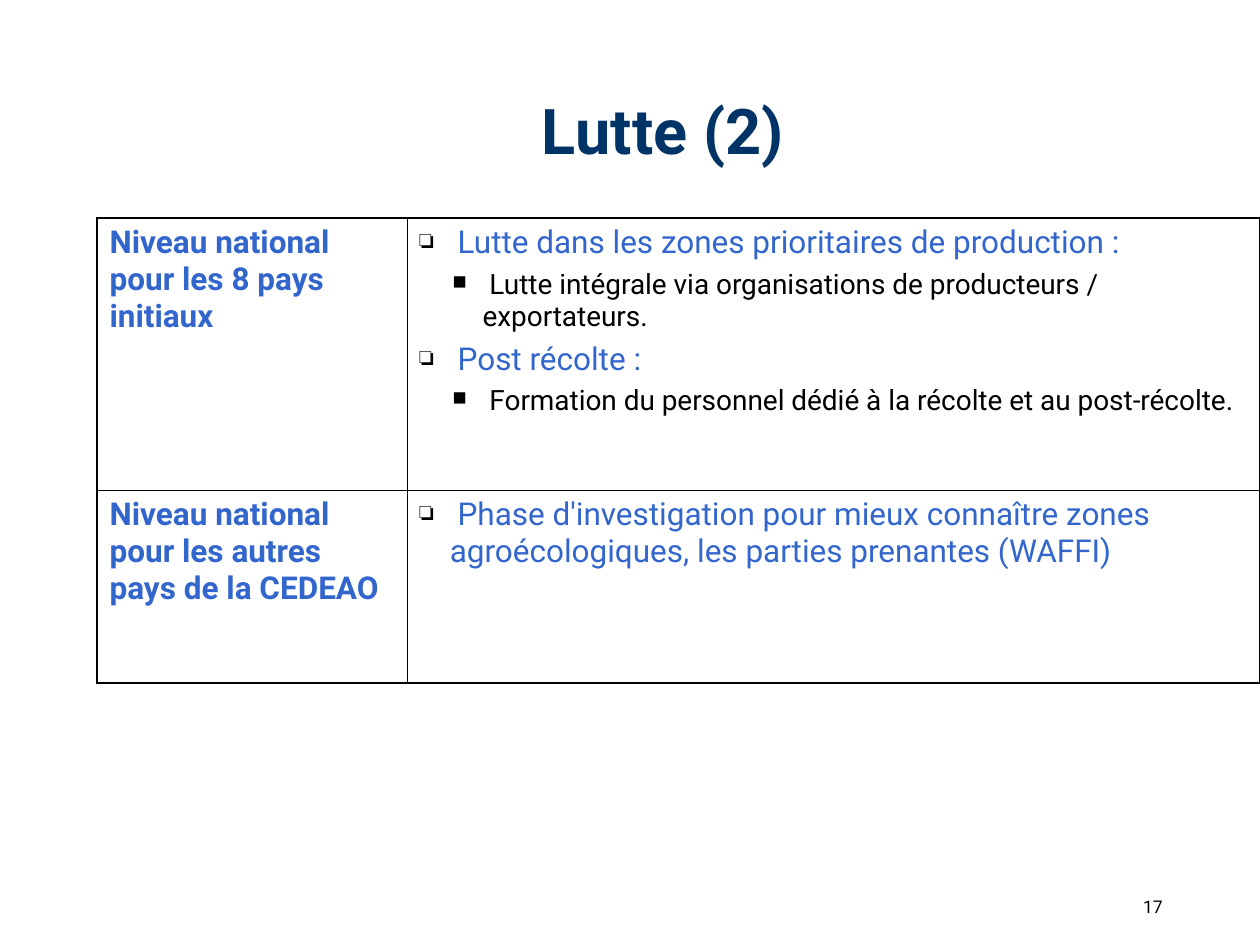
from dataclasses import dataclass, field

from lxml.etree import SubElement
from pptx import Presentation
from pptx.dml.color import RGBColor
from pptx.enum.text import MSO_ANCHOR as Anchor, PP_ALIGN as Align
from pptx.oxml.ns import qn
from pptx.slide import Slide
from pptx.util import Inches, Pt

COLORS = {"title": "003366", "heading": "3366CC", "body": "000000", "border": "000000"}
COLUMNS = (2.46, 6.77)
ROWS = (2.16, 1.53)
LEVELS = (
    {"size": 18, "color": "heading", "before": 4.5, "margin": 0.24, "bullet": "❏", "percent": 80},
    {"size": 16, "color": "body", "before": 4, "margin": 0.5, "bullet": "■", "percent": 70},
)
HANGING = 0.24
CONTENT = (
    ("Niveau national pour les 8 pays initiaux", (
        (0, " Lutte dans les zones prioritaires de production :"),
        (1, " Lutte intégrale via organisations de producteurs / exportateurs."),
        (0, " Post récolte :"),
        (1, " Formation du personnel dédié à la récolte et au post-récolte."),
    )),
    ("Niveau national pour les autres pays de la CEDEAO", (
        (0, " Phase d'investigation pour mieux connaître zones agroécologiques, "
            "les parties prenantes (WAFFI)"),
    )),
)


@dataclass
class SlideBuilder:
    """Holds the style and the current slide, and adds each kind of element."""

    slide: Slide
    font: str = "Roboto"
    outer: float = 1.08
    inner: float = 0.45
    colors: dict = field(default_factory=lambda: COLORS)

    def style(self, para, size, color, bold=False):
        para.font.name = self.font
        para.font.size = Pt(size)
        para.font.bold = bold
        para.font.color.rgb = RGBColor.from_string(self.colors[color])

    def title(self, text, left, top, width, height):
        box = self.slide.shapes.title
        box.left, box.top, box.width, box.height = map(Inches, (left, top, width, height))
        box.text_frame.vertical_anchor = Anchor.MIDDLE
        para = box.text_frame.paragraphs[0]
        para.text = text
        para.alignment = Align.CENTER
        self.style(para, 36, "title", bold=True)

    def page_number(self, text, left, top, width, height):
        box = self.slide.shapes.add_textbox(*map(Inches, (left, top, width, height)))
        box.text_frame.word_wrap = True
        para = box.text_frame.paragraphs[0]
        para.text = text
        para.alignment = Align.CENTER
        para.space_before = Pt(6.2)
        self.style(para, 10, "body")

    def bullet(self, para, level):
        rule = LEVELS[level]
        para.level = level
        properties = para._p.get_or_add_pPr()
        properties.set("marL", str(Inches(rule["margin"])))
        properties.set("indent", str(Inches(-HANGING)))
        color = SubElement(properties, qn("a:buClr"))
        SubElement(color, qn("a:srgbClr"), val=self.colors["body"])
        SubElement(properties, qn("a:buSzPct"), val=str(rule["percent"] * 1000))
        SubElement(properties, qn("a:buChar"), char=rule["bullet"])

    def borders(self, cell, row, column):
        edges = {
            "a:lnL": column == 0,
            "a:lnR": column == len(COLUMNS) - 1,
            "a:lnT": row == 0,
            "a:lnB": row == len(ROWS) - 1,
        }
        properties = cell._tc.get_or_add_tcPr()
        for tag, is_outer in edges.items():
            width = Pt(self.outer if is_outer else self.inner)
            line = SubElement(properties, qn(tag), w=str(width))
            fill = SubElement(line, qn("a:solidFill"))
            SubElement(fill, qn("a:srgbClr"), val=self.colors["border"])

    def fill_cell(self, cell, items, bulleted):
        frame = cell.text_frame
        for index, (level, text) in enumerate(items):
            para = frame.add_paragraph() if index else frame.paragraphs[0]
            rule = LEVELS[level]
            para.text = text
            para.space_before = Pt(rule["before"])
            if bulleted:
                self.bullet(para, level)
            self.style(para, rule["size"], rule["color"], bold=not bulleted)

    def table(self, content, left, top):
        size = (left, top, sum(COLUMNS), sum(ROWS))
        table = self.slide.shapes.add_table(
            len(ROWS), len(COLUMNS), *map(Inches, size)).table
        table.first_row = table.horz_banding = False
        for column, width in zip(table.columns, COLUMNS):
            column.width = Inches(width)
        for row, height in zip(table.rows, ROWS):
            row.height = Inches(height)
        for row, (heading, items) in enumerate(content):
            for column, entries in enumerate((((0, heading),), items)):
                cell = table.cell(row, column)
                self.borders(cell, row, column)
                cell.fill.background()
                self.fill_cell(cell, entries, bulleted=column > 0)


def main():
    deck = Presentation()
    deck.slide_width, deck.slide_height = Inches(10), Inches(7.5)
    page = SlideBuilder(deck.slides.add_slide(deck.slide_layouts[5]))
    page.title("Lutte (2)", 0.76, 0.62, 9, 0.81)
    page.table(CONTENT, 0.77, 1.73)
    page.page_number("17", 8.54, 7.06, 1.22, 0.25)
    deck.save("out.pptx")


if __name__ == "__main__":
    main()
